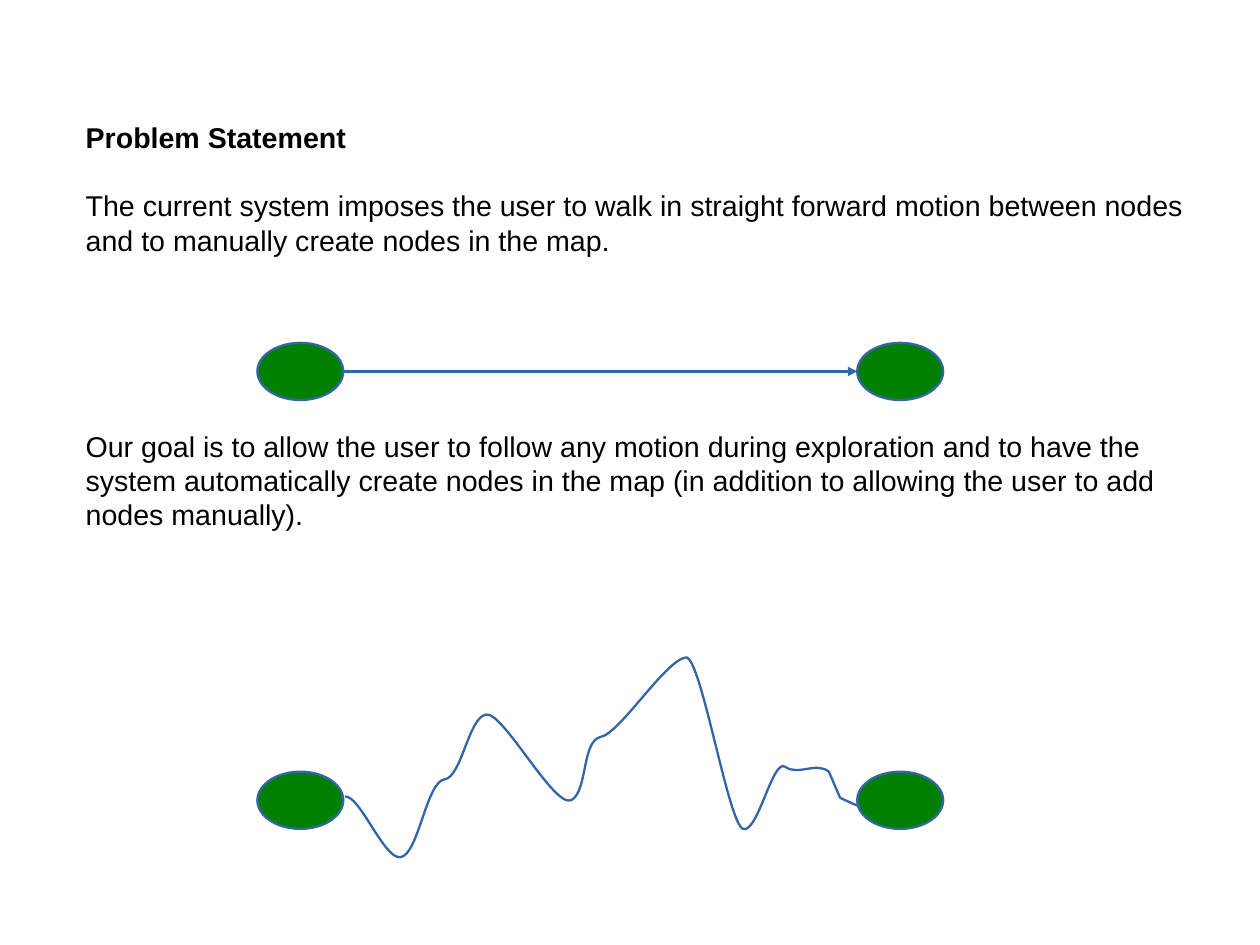
"""Build the problem statement slide with its straight and free walking paths."""
import dataclasses

import lxml.etree
import pptx
import pptx.dml.color
import pptx.enum.shapes
import pptx.enum.text
import pptx.oxml.ns
import pptx.util

Cm = pptx.util.Cm
Pt = pptx.util.Pt
qn = pptx.oxml.ns.qn

BLACK, GREEN, BLUE = "000000", "008000", "3465A4"
LINE_WIDTH = Pt(1.45)
NODE_WIDTH, NODE_HEIGHT = 1.91, 1.27
LEFT_NODE, RIGHT_NODE = 5.72, 19.05
STRAIGHT_ROW, FREE_ROW = 7.62, 17.15

Point = tuple[float, float]


@dataclasses.dataclass
class Passage:
    text: str
    bold: bool = False
    space_before: float = 0


@dataclasses.dataclass
class Node:
    left: float
    top: float


HEADING = [Passage("Problem Statement", bold=True)]
STATEMENTS = [
    Passage("The current system imposes the user to walk in straight forward motion "
            "between nodes and to manually create nodes in the map."),
    Passage("Our goal is to allow the user to follow any motion during exploration and "
            "to have the system automatically create nodes in the map (in addition to "
            "allowing the user to add nodes manually).", space_before=108),
]
NODES = [Node(left, top) for top in (STRAIGHT_ROW, FREE_ROW)
         for left in (LEFT_NODE, RIGHT_NODE)]

WALK_START = (7.67, 17.7)
WALK_CURVES = [
    [(8, 17.68), (8.53, 19.08), (8.89, 19.05)],
    [(9.3, 19.02), (9.47, 17.37), (9.88, 17.32)],
    [(10.26, 17.27), (10.41, 15.95), (10.8, 15.88)],
    [(11.18, 15.8), (12.32, 17.98), (12.7, 17.78)],
    [(13.06, 17.58), (12.93, 16.48), (13.34, 16.38)],
    [(13.77, 16.31), (14.78, 14.68), (15.24, 14.61)],
    [(15.57, 14.55), (16.18, 18.29), (16.51, 18.42)],
    [(16.84, 18.54), (17.17, 16.84), (17.45, 17.04)],
    [(17.73, 17.25), (18.14, 16.92), (18.42, 17.15)],
]
WALK_END = [(18.67, 17.73), (18.95, 17.86), (19.13, 17.93)]


def colour(value: str) -> pptx.dml.color.RGBColor:
    return pptx.dml.color.RGBColor.from_string(value)


def style_line(shape) -> None:
    shape.line.color.rgb = colour(BLUE)
    shape.line.width = LINE_WIDTH


def write_passages(box, top: float, height: float, passages: list[Passage]) -> None:
    box.left, box.top, box.width, box.height = Cm(1.65), Cm(top), Cm(25.65), Cm(height)
    frame = box.text_frame
    frame.word_wrap = True
    frame.auto_size = pptx.enum.text.MSO_AUTO_SIZE.NONE
    frame.vertical_anchor = pptx.enum.text.MSO_ANCHOR.TOP
    for index, passage in enumerate(passages):
        para = frame.add_paragraph() if index else frame.paragraphs[0]
        properties = para._p.get_or_add_pPr()
        properties.set("marL", "0")
        properties.set("indent", "0")
        lxml.etree.SubElement(properties, qn("a:buNone"))
        para.alignment = pptx.enum.text.PP_ALIGN.LEFT
        para.line_spacing = Pt(21.6)
        para.space_before = Pt(passage.space_before)
        span = para.add_run()
        span.text = passage.text
        span.font.name = "Arial"
        span.font.size = Pt(18)
        span.font.bold = passage.bold
        span.font.color.rgb = colour(BLACK)


def draw_node(page, node: Node) -> None:
    oval = page.shapes.add_shape(pptx.enum.shapes.MSO_SHAPE.OVAL, Cm(node.left),
                                 Cm(node.top), Cm(NODE_WIDTH), Cm(NODE_HEIGHT))
    oval.shadow.inherit = False
    oval.fill.solid()
    oval.fill.fore_color.rgb = colour(GREEN)
    style_line(oval)


def draw_arrow(page, start: Point, end: Point) -> None:
    arrow = page.shapes.add_connector(pptx.enum.shapes.MSO_CONNECTOR.STRAIGHT,
                                      *(Cm(value) for value in start + end))
    style_line(arrow)
    lxml.etree.SubElement(arrow.line._get_or_add_ln(), qn("a:tailEnd"), type="triangle")
    lxml.etree.SubElement(arrow._element.spPr, qn("a:effectLst"))


def draw_walk(page, start: Point, curves: list[list[Point]], end: list[Point]) -> None:
    builder = page.shapes.build_freeform(Cm(start[0]), Cm(start[1]))
    points = [point for curve in curves for point in curve] + end
    builder.add_line_segments([(Cm(x), Cm(y)) for x, y in points], close=False)
    walk = builder.convert_to_shape()
    segments = list(walk._element.iter(qn("a:lnTo")))
    for first in range(0, 3 * len(curves), 3):
        bezier = lxml.etree.Element(qn("a:cubicBezTo"))
        segments[first].addprevious(bezier)
        for segment in segments[first:first + 3]:
            bezier.append(segment[0])
            segment.getparent().remove(segment)
    walk.shadow.inherit = False
    walk.fill.background()
    style_line(walk)


def main() -> None:
    deck = pptx.Presentation()
    deck.slide_width, deck.slide_height = Cm(28), Cm(21)
    page = deck.slides.add_slide(deck.slide_layouts[1])
    write_passages(page.shapes.title, 2.54, 1.3, HEADING)
    write_passages(page.placeholders[1], 4.06, 10.08, STATEMENTS)
    for node in NODES:
        draw_node(page, node)
    middle = STRAIGHT_ROW + NODE_HEIGHT / 2
    draw_arrow(page, (LEFT_NODE + NODE_WIDTH, middle), (RIGHT_NODE, middle))
    draw_walk(page, WALK_START, WALK_CURVES, WALK_END)
    deck.save("out.pptx")


if __name__ == "__main__":
    main()
